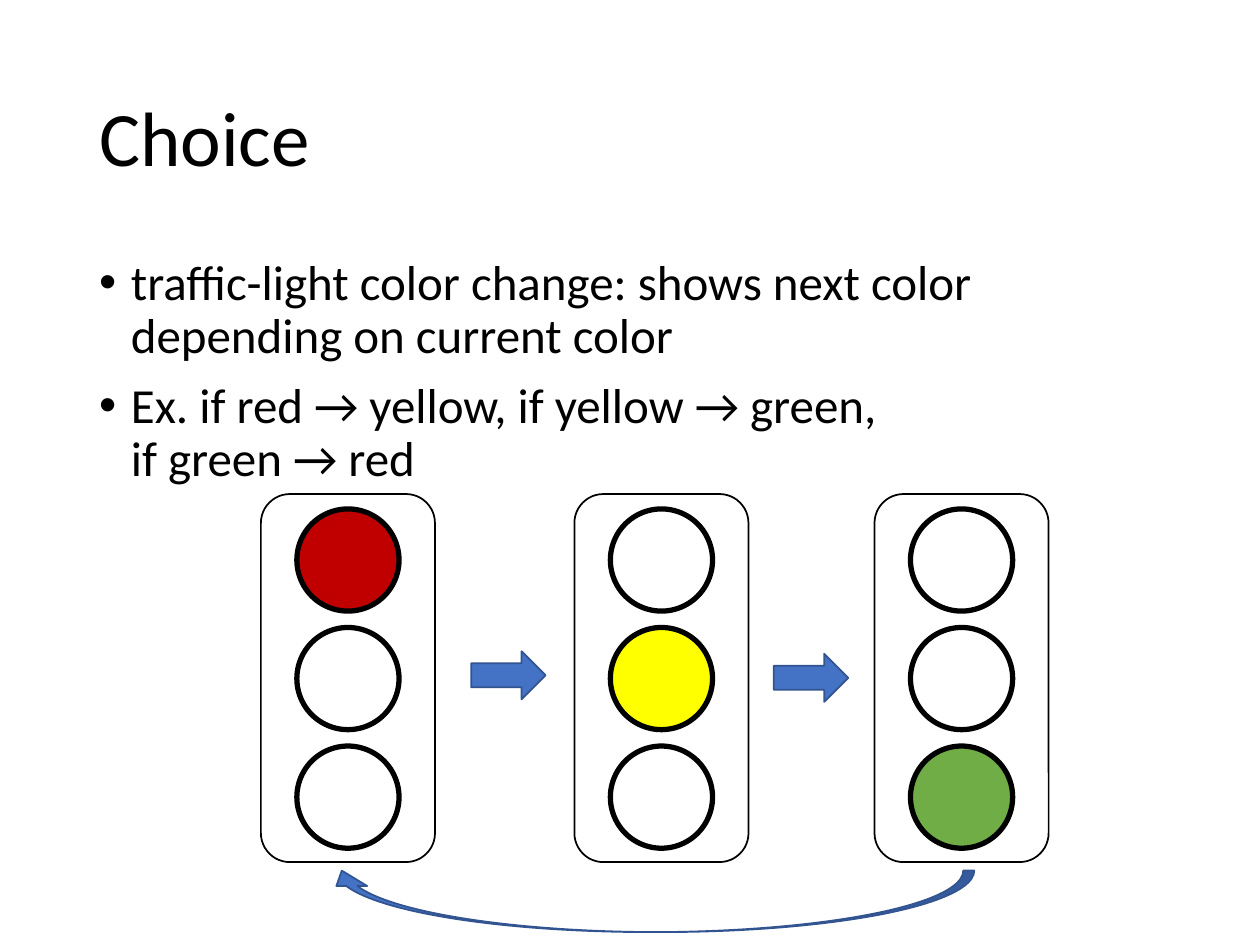
from lxml import etree
from pptx import Presentation
from pptx import util as u
from pptx.dml.color import RGBColor
from pptx.enum import shapes, text
from pptx.oxml.ns import qn


def color(value):
    return RGBColor.from_string(value)


class SlideBuilder:
    """Holds the style and the current slide, and adds elements to it."""

    font = "Calibri"
    ink = "000000"
    blank = "FFFFFF"
    arrow_fill = "4472C4"
    arrow_line = "325491"

    def __init__(self, slide):
        self.slide = slide

    def text_box(self, left, top, width, height, paragraphs, size, bullets=False,
                 anchor=text.MSO_ANCHOR.TOP):
        box = self.slide.shapes.add_textbox(u.Cm(left), u.Cm(top), u.Cm(width), u.Cm(height))
        frame = box.text_frame
        frame.word_wrap = True
        frame.vertical_anchor = anchor
        for index, lines in enumerate(paragraphs):
            paragraph = frame.add_paragraph() if index else frame.paragraphs[0]
            paragraph.line_spacing = 0.9
            if bullets:
                paragraph.space_before = u.Pt(10)
                self.bullet(paragraph)
            for number, line in enumerate(lines):
                if number:
                    paragraph.add_line_break()
                run = paragraph.add_run()
                run.text = line
                run.font.name = self.font
                run.font.size = u.Pt(size)
                run.font.color.rgb = color(self.ink)

    def bullet(self, paragraph):
        properties = paragraph._p.get_or_add_pPr()
        indent = u.Cm(0.64)
        properties.set("marL", str(indent))
        properties.set("indent", str(-indent))
        etree.SubElement(properties, qn("a:buFont")).set("typeface", "Arial")
        etree.SubElement(properties, qn("a:buChar")).set("char", "•")

    def shape(self, kind, left, top, width, height, fill, line, weight):
        shape = self.slide.shapes.add_shape(
            kind, u.Cm(left), u.Cm(top), u.Cm(width), u.Cm(height))
        shape.shadow.inherit = False
        shape.fill.solid()
        shape.fill.fore_color.rgb = color(fill)
        shape.line.color.rgb = color(line)
        shape.line.width = u.Pt(weight)
        return shape

    def traffic_light(self, left, lit, lit_color):
        top, width, lamp = 9.96, 3.51, 2.06
        self.shape(shapes.MSO_SHAPE.ROUNDED_RECTANGLE, left, top, width, 7.42,
                   self.blank, self.ink, 1)
        for position in range(3):
            fill = lit_color if position == lit else self.blank
            self.shape(shapes.MSO_SHAPE.OVAL, left + (width - lamp) / 2,
                       top + 0.3 + position * 2.39, lamp, lamp, fill, self.ink, 3)

    def arrow(self, kind, left, top, width, height):
        return self.shape(kind, left, top, width, height,
                          self.arrow_fill, self.arrow_line, 1)


presentation = Presentation()
presentation.slide_width = u.Cm(25.4)
presentation.slide_height = u.Cm(19.05)
builder = SlideBuilder(presentation.slides.add_slide(presentation.slide_layouts[6]))

builder.text_box(1.75, 1.02, 21.9, 3.68, [["Choice"]], 44, anchor=text.MSO_ANCHOR.MIDDLE)
builder.text_box(1.75, 5.08, 21.9, 12.09, [
    ["traffic-light color change: shows next color depending on current color"],
    ["Ex. if red → yellow, if yellow → green, ", "if green → red"],
], 28, bullets=True)

lights = [(5.26, "C00000"), (11.58, "FFFF00"), (17.63, "70AD47")]
for lit, (left, lit_color) in enumerate(lights):
    builder.traffic_light(left, lit, lit_color)

for left, top in [(9.5, 13.13), (15.6, 13.18)]:
    builder.arrow(shapes.MSO_SHAPE.RIGHT_ARROW, left, top, 1.5, 0.97)

return_arrow = builder.arrow(shapes.MSO_SHAPE.CURVED_DOWN_ARROW, 6.58, 17.55, 13.06, 1.24)
return_arrow.rotation = 180
for index, value in enumerate([0.18, 0.5, 0.25]):
    return_arrow.adjustments[index] = value

presentation.save("out.pptx")
